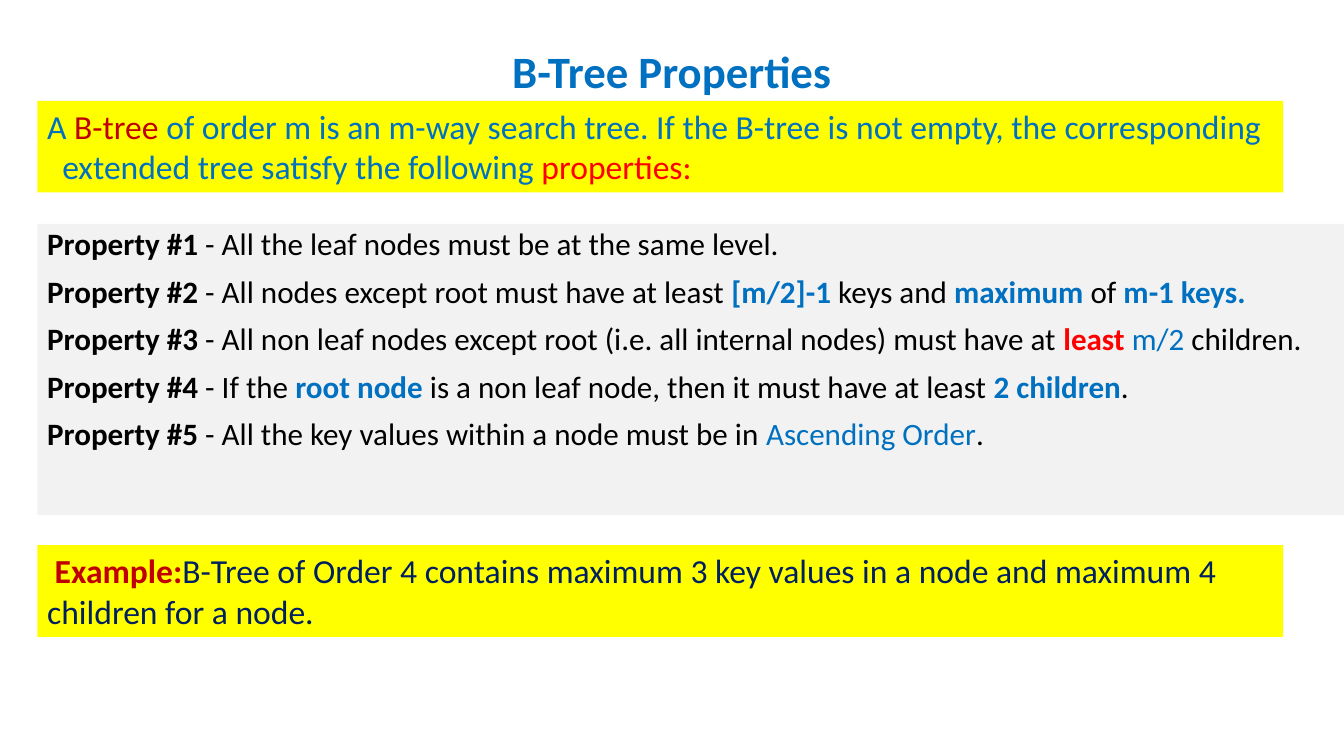
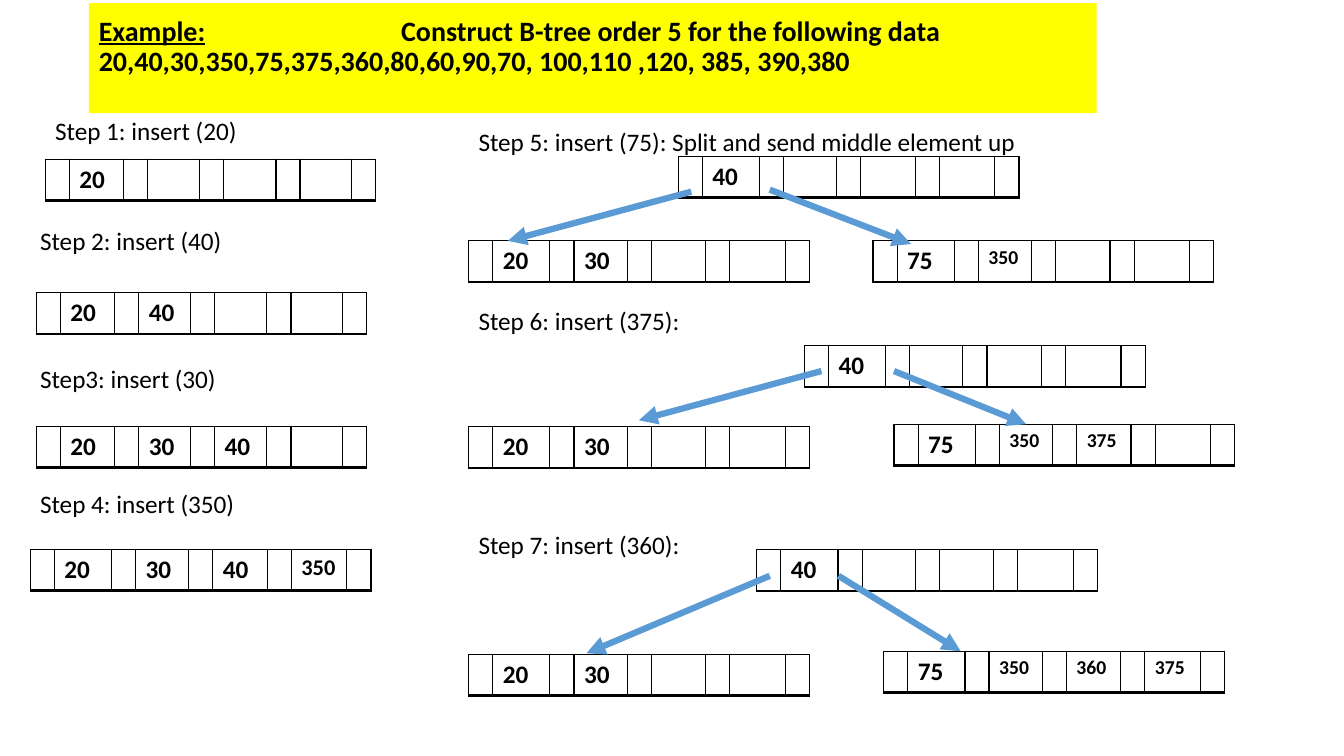
import pptx
import pptx.dml.color
import pptx.enum.shapes
import pptx.enum.text
import pptx.oxml.ns
import pptx.util
from lxml import etree

Cm, Pt = pptx.util.Cm, pptx.util.Pt
RGBColor = pptx.dml.color.RGBColor
ANCHOR = pptx.enum.text.MSO_ANCHOR
ALIGN = pptx.enum.text.PP_ALIGN
qn = pptx.oxml.ns.qn

# Shared colours and fonts
BLACK = RGBColor(0x00, 0x00, 0x00)
BLUE = RGBColor(0x00, 0x70, 0xC0)
NAVY = RGBColor(0x00, 0x20, 0x60)
DARK_RED = RGBColor(0xC0, 0x00, 0x00)
RED = RGBColor(0xFF, 0x00, 0x00)
YELLOW = RGBColor(0xFF, 0xFF, 0x00)
GREY = RGBColor(0xF2, 0xF2, 0xF2)
ARROW_BLUE = RGBColor(0x5B, 0x9B, 0xD5)
FONT = "Calibri"
BOLD = {"bold": True}
BODY_LINES = {"line_spacing": 0.9}

# Node columns in cm: pointer width, then the four key widths
NARROW_NODE = (0.58, (1.37, 1.30, 1.32, 1.29))
WIDE_NODE = (0.60, (1.44, 1.34, 1.37, 1.40))
NODE_HEIGHT = 1.04


def apply_format(target, values):
    for name, value in values.items():
        setattr(target, name, value)


def add_run(paragraph, text, size, color=BLACK, font_format=None):
    run = paragraph.add_run()
    run.text = text
    apply_format(run.font, {"name": FONT, "size": Pt(size), **(font_format or {})})
    run.font.color.rgb = color


def add_text(slide, box, paragraphs, size, fill=None, frame_format=None, paragraph_format=None):
    """Place paragraphs, each a list of (text, colour, font format) runs, in a box in cm."""
    shape = slide.shapes.add_textbox(*map(Cm, box))
    if fill is not None:
        shape.fill.solid()
        shape.fill.fore_color.rgb = fill
    frame = shape.text_frame
    apply_format(frame, {"word_wrap": True, **(frame_format or {})})
    for index, runs in enumerate(paragraphs):
        paragraph = frame.add_paragraph() if index else frame.paragraphs[0]
        apply_format(paragraph, paragraph_format or {})
        for run in runs:
            add_run(paragraph, run[0], size, *run[1:])
    return frame


def set_indent(paragraph, margin, first_line):
    properties = paragraph._p.get_or_add_pPr()
    properties.set("marL", str(Cm(margin)))
    properties.set("indent", str(Cm(first_line)))


def add_tab_stop(paragraph, position):
    tab_list = etree.SubElement(paragraph._p.get_or_add_pPr(), qn("a:tabLst"))
    etree.SubElement(tab_list, qn("a:tab"), pos=str(Cm(position)), algn="l")


def set_borders(cell):
    properties = cell._tc.get_or_add_tcPr()
    for side, width in (("L", 1), ("R", 1), ("T", 1), ("B", 2)):
        line = etree.SubElement(properties, qn(f"a:ln{side}"), w=str(Pt(width)))
        fill = etree.SubElement(line, qn("a:solidFill"))
        etree.SubElement(fill, qn("a:srgbClr"), val=str(BLACK))


def add_node(slide, left, top, keys, columns=WIDE_NODE, long_key_size=14):
    """Draw a B-tree node: key cells between narrow pointer cells."""
    pointer, key_widths = columns
    widths = [pointer]
    for key_width in key_widths:
        widths += [key_width, pointer]
    frame = slide.shapes.add_table(1, len(widths), Cm(left), Cm(top),
                                   Cm(sum(widths)), Cm(NODE_HEIGHT))
    table = frame.table
    apply_format(table, {"first_row": False, "horz_banding": False})
    for index, width in enumerate(widths):
        table.columns[index].width = Cm(width)
        cell = table.cell(0, index)
        set_borders(cell)
        cell.fill.background()
    for index, key in enumerate(keys):
        size = long_key_size if key >= 100 else 18
        add_run(table.cell(0, 2 * index + 1).text_frame.paragraphs[0], str(key), size,
                font_format=BOLD)


def add_arrow(slide, start, end):
    connector = slide.shapes.add_connector(pptx.enum.shapes.MSO_CONNECTOR.STRAIGHT,
                                           *map(Cm, (*start, *end)))
    connector.line.color.rgb = ARROW_BLUE
    connector.line.width = Pt(4.5)
    etree.SubElement(connector.line._get_or_add_ln(), qn("a:tailEnd"), type="triangle")
    etree.SubElement(connector._element.spPr, qn("a:effectLst"))


def add_list_step(slide, left, top, label, keys, offset, columns=NARROW_NODE):
    """A step whose tree is a single node."""
    add_text(slide, (left, top, 5.6, 1.02), [[(label,)]], 18)
    add_node(slide, left + offset[0], top + offset[1], keys, columns, long_key_size=16)


def add_tree_step(slide, left, top, label, nodes, arrows):
    """A step with a root and two children, all placed from the label's corner."""
    add_text(slide, (left, top, 16.36, 1.02), [[(label,)]], 18)
    for x, y, keys in nodes:
        add_node(slide, left + x, top + y, keys)
    for start, end in arrows:
        add_arrow(slide, *((left + x, top + y) for x, y in (start, end)))


def build_properties_slide(slide):
    left, band_width, band_height = 0.94, 31.4, 2.31
    # Title
    add_text(slide, (4.23, 0, 25.4, 2.59), [[("B-Tree Properties", BLUE, BOLD)]], 32,
             frame_format={"vertical_anchor": ANCHOR.BOTTOM},
             paragraph_format={"alignment": ALIGN.CENTER, **BODY_LINES})
    # Definition band
    definition = add_text(slide, (left, 2.54, band_width, band_height), [[
        ("A ", BLUE), ("B-tree", DARK_RED),
        (" of order m is an m-way search tree. If the B-tree is not empty, the corresponding "
         "extended tree satisfy the following ", BLUE),
        ("properties:", RED)]], 24, YELLOW)
    set_indent(definition.paragraphs[0], 0.38, -0.38)
    # Property list
    properties = [
        [(" - All the leaf nodes must be at the same level.",)],
        [(" - All nodes except root must have at least ",), ("[m/2]-1 ", BLUE, BOLD),
         ("keys and ",), ("maximum", BLUE, BOLD), (" of ",), ("m-1 keys.", BLUE, BOLD)],
        [(" - All non leaf nodes except root (i.e. all internal nodes) must have at ",),
         ("least ", RED, BOLD), ("m/2 ", BLUE), ("children.",)],
        [(" - If the ",), ("root node ", BLUE, BOLD),
         ("is a non leaf node, then it must have at least ",),
         ("2 children", BLUE, BOLD), (".",)],
        [(" - All the key values within a node must be in ",),
         ("Ascending Order", BLUE), (".",)],
    ]
    numbered = [[(f"Property #{number}", BLACK, BOLD), *runs]
                for number, runs in enumerate(properties, 1)]
    add_text(slide, (left, 5.64, 32.93, 7.34), numbered, 22.2, GREY,
             paragraph_format={"space_before": Pt(10), **BODY_LINES})
    # Example band
    example = add_text(slide, (left, 13.74, band_width, band_height), [[
        ("Example:", DARK_RED, BOLD),
        ("B-Tree of Order 4 contains maximum 3 key values in a node and maximum 4 "
         "children for a node.", NAVY)]], 24, YELLOW)
    set_indent(example.paragraphs[0], 0, 0.19)


def build_example_slide(slide):
    # Task band
    task = add_text(slide, (2.24, 0.08, 25.4, 2.77), [
        [("Example:", BLACK, {"bold": True, "underline": True}),
         ("\tConstruct B-tree order 5 for the following data", BLACK, BOLD)],
        [("20,40,30,350,75,375,360,80,60,90,70, 100,110 ,120, 385, 390,380", BLACK, BOLD)],
    ], 20, YELLOW, {"vertical_anchor": ANCHOR.BOTTOM, "margin_bottom": Cm(0.9)}, BODY_LINES)
    add_tab_stop(task.paragraphs[0], 7.62)

    # Steps with one node
    add_list_step(slide, 1.14, 2.77, "Step 1: insert (20)", [20], (0, 1.24))
    add_list_step(slide, 0.76, 5.56, "Step 2: insert (40)", [20, 40], (0.15, 1.81))
    add_list_step(slide, 0.76, 9.02, "Step3: insert (30)", [20, 30, 40], (0.15, 1.72))
    add_list_step(slide, 0.76, 12.19, "Step 4: insert (350)", [20, 30, 40, 350], (0, 1.65),
                  WIDE_NODE)

    # Steps with a root and two children
    tree_left = 11.81
    add_tree_step(slide, tree_left, 3.05,
                  "Step 5: insert (75): Split and send middle element up",
                  [(5.28, 0.89, [40]), (0, 3.02, [20, 30]), (10.19, 3.02, [75, 350])],
                  [((5.61, 1.78), (0.99, 3.02)), ((7.59, 1.73), (11.15, 3.10))])
    add_tree_step(slide, tree_left, 7.57, "Step 6: insert (375):",
                  [(8.46, 1.14, [40]), (0, 3.18, [20, 30]), (10.72, 3.12, [75, 350, 375])],
                  [((8.89, 1.78), (4.29, 3.02)), ((10.72, 1.78), (14.05, 3.12))])
    add_tree_step(slide, tree_left, 13.21, "Step 7: insert (360):",
                  [(7.26, 0.64, [40]), (0, 3.28, [20, 30]),
                   (10.46, 3.20, [75, 350, 360, 375])],
                  [((7.59, 1.30), (2.97, 3.25)), ((9.32, 1.30), (12.40, 3.20))])


def main():
    presentation = pptx.Presentation()
    apply_format(presentation, {"slide_width": Cm(33.87), "slide_height": Cm(19.05)})
    blank_layout = presentation.slide_layouts[6]
    for build in (build_properties_slide, build_example_slide):
        build(presentation.slides.add_slide(blank_layout))
    presentation.save("out.pptx")


if __name__ == "__main__":
    main()
